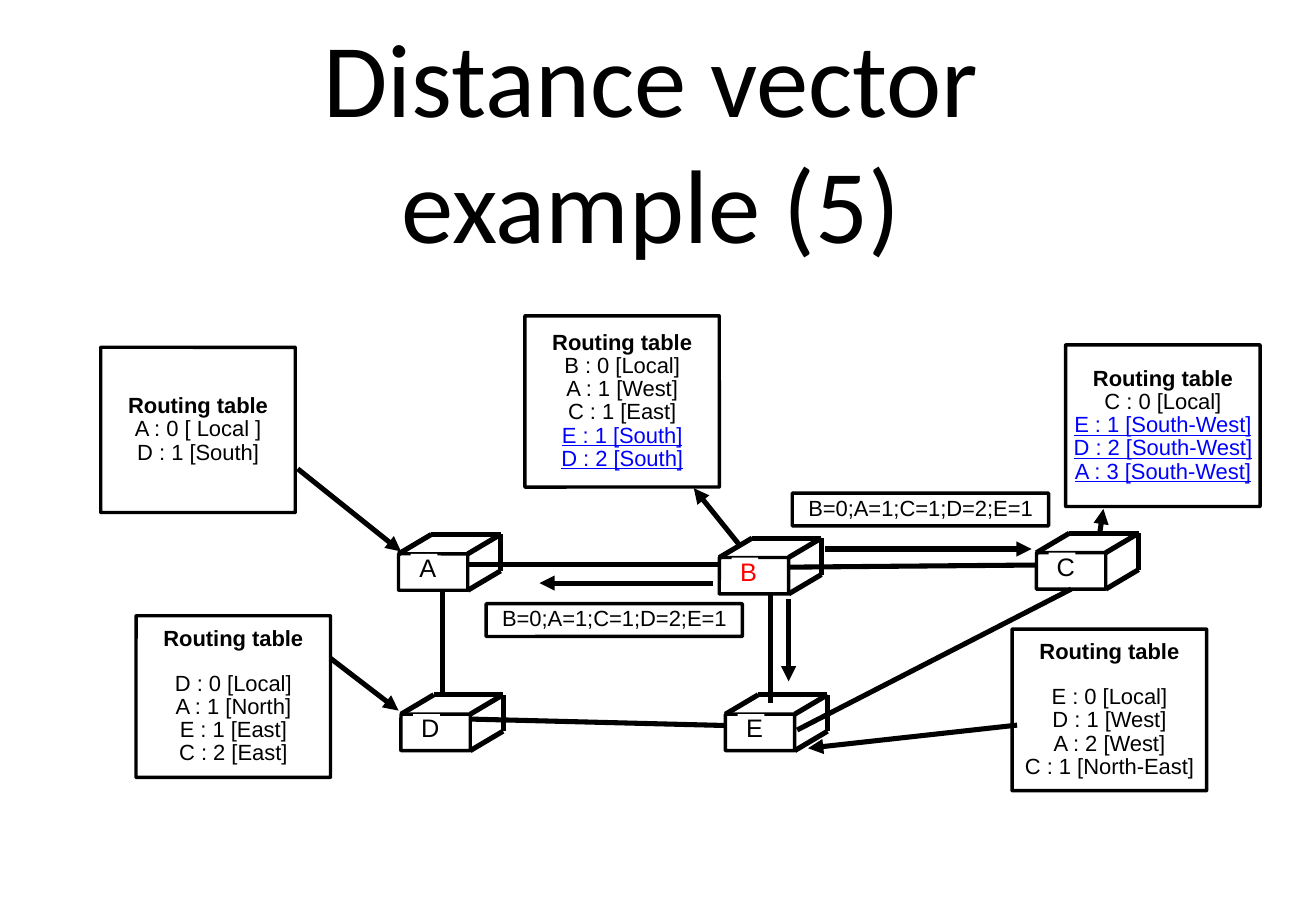
from dataclasses import dataclass

from lxml import etree
from pptx import Presentation
from pptx.dml.color import RGBColor
from pptx.enum.shapes import MSO_CONNECTOR, MSO_SHAPE
from pptx.enum.text import MSO_ANCHOR, PP_ALIGN
from pptx.oxml.ns import qn
from pptx.util import Inches, Pt

STRAIGHT = MSO_CONNECTOR.STRAIGHT
RECTANGLE = MSO_SHAPE.RECTANGLE
ROUNDED = MSO_SHAPE.ROUNDED_RECTANGLE
CENTER = PP_ALIGN.CENTER
MIDDLE = MSO_ANCHOR.MIDDLE
BOTTOM_SIDE = 2


@dataclass(frozen=True)
class Theme:
    """Colours, fonts, type sizes and line weights."""

    ink: RGBColor = RGBColor(0, 0, 0)
    paper: RGBColor = RGBColor(255, 255, 255)
    new_route: RGBColor = RGBColor(0, 0, 255)
    sender: RGBColor = RGBColor(255, 0, 0)
    title_font: str = "Calibri"
    body_font: str = "Arial"
    title_size: int = 62
    router_size: int = 15
    body_size: int = 13
    border: int = 2
    link: int = 3


THEME = Theme()
FACE_WIDTH, FACE_HEIGHT = 0.57, 0.3
DEPTH_X, DEPTH_Y = 0.27, -0.16
TABLE_WIDTH = 1.6
VECTOR = "B=0;A=1;C=1;D=2;E=1"

ROUTERS = {
    "A": (3.28, 4.56),
    "B": (5.92, 4.59),
    "C": (8.53, 4.55),
    "D": (3.3, 5.88),
    "E": (5.97, 5.88),
}
LINKS = [
    ((3.64, 4.85), (3.64, 5.72)),
    ((3.86, 5.92), (6.25, 5.98)),
    ((3.81, 4.65), (6.23, 4.65)),
    ((6.34, 4.83), (6.34, 5.79)),
    ((6.45, 4.67), (8.72, 4.65)),
]
TABLES = [
    (0.83, 2.86, 1.36, 0, ["A : 0 [ Local ]", "D : 1 [South]"], []),
    (4.32, 2.6, 1.41, 0, ["B : 0 [Local]", "A : 1 [West]", "C : 1 [East]"],
     ["E : 1 [South]", "D : 2 [South]"]),
    (8.77, 2.84, 1.33, 0, ["C : 0 [Local]"],
     ["E : 1 [South-West]", "D : 2 [South-West]", "A : 3 [South-West]"]),
    (8.33, 5.18, 1.33, 13,
     ["E : 0 [Local]", "D : 1 [West]", "A : 2 [West]", "C : 1 [North-East]"], []),
    (1.12, 5.07, 1.33, 13,
     ["D : 0 [Local]", "A : 1 [North]", "E : 1 [East]", "C : 2 [East]"], []),
]
ARROWS = [
    ((2.45, 3.86), (3.3, 4.54)),
    ((6.08, 4.48), (5.71, 4.02)),
    ((9.05, 4.39), (9.08, 4.19)),
    ((2.72, 5.42), (3.28, 5.85)),
    ((8.37, 5.97), (6.65, 6.16)),
    ((5.87, 4.8), (4.44, 4.8)),
    ((6.49, 4.93), (6.49, 5.61)),
    ((6.79, 4.52), (8.49, 4.52)),
]
MESSAGES = [(4, 4.97), (6.52, 4.06)]


def write(paragraph, text, size=THEME.body_size, font=THEME.body_font,
          color=THEME.ink, bold=False, underline=False, spacing=0.88, after=0):
    """Fill a paragraph with centred, formatted text."""
    paragraph.text = text
    paragraph.alignment = CENTER
    paragraph.line_spacing = spacing
    paragraph.space_after = Pt(after)
    for run in paragraph.runs:
        run.font.size = Pt(size)
        run.font.name = font
        run.font.color.rgb = color
        run.font.bold = bold
        run.font.underline = underline


class DiagramSlide:
    """Draws routers, links and routing tables on one slide."""

    def __init__(self, slide, theme):
        """Keep the slide and its theme."""
        self.shapes = slide.shapes
        self.theme = theme

    def frame(self, shape, inset=0, wrap=True):
        """Prepare a text frame and return it."""
        frame = shape.text_frame
        frame.margin_left = frame.margin_right = Inches(inset)
        frame.margin_top = frame.margin_bottom = Inches(inset)
        frame.vertical_anchor = MIDDLE
        frame.word_wrap = wrap
        return frame

    def title(self, text, left, top, width, height):
        """Add the slide title."""
        box = self.shapes.add_textbox(
            Inches(left), Inches(top), Inches(width), Inches(height))
        write(self.frame(box, 0.04).paragraphs[0], text, size=self.theme.title_size,
              font=self.theme.title_font, spacing=1)

    def box(self, left, top, width, height, filled=False, kind=ROUNDED):
        """Add a box with barely rounded corners, or a borderless rectangle."""
        shape = self.shapes.add_shape(
            kind, Inches(left), Inches(top), Inches(width), Inches(height))
        shape.shadow.inherit = False
        if filled:
            shape.fill.solid()
            shape.fill.fore_color.rgb = self.theme.paper
        else:
            shape.fill.background()
        if kind == ROUNDED:
            shape.adjustments[0] = 0.002
            shape.line.color.rgb = self.theme.ink
            shape.line.width = Pt(self.theme.border)
        else:
            shape.line.fill.background()
        return shape

    def line(self, start, end, arrow=False):
        """Add a straight line, with an arrowhead at its end if wanted."""
        connector = self.shapes.add_connector(
            STRAIGHT, *(Inches(value) for value in (*start, *end)))
        connector.line.color.rgb = self.theme.ink
        connector.line.width = Pt(self.theme.link)
        if arrow:
            etree.SubElement(connector.line._get_or_add_ln(),
                             qn("a:tailEnd"), type="triangle")
        etree.SubElement(connector._element.spPr, qn("a:effectLst"))
        return connector

    def router(self, name, left, top, color):
        """Add a router drawn as an open cuboid and return its front face."""
        face = self.box(left, top, FACE_WIDTH, FACE_HEIGHT, filled=True)
        right, bottom = left + FACE_WIDTH, top + FACE_HEIGHT
        corners = [(left, top), (right, top), (right, bottom)]
        back = [(x + DEPTH_X, y + DEPTH_Y) for x, y in corners]
        for start, end in [*zip(corners, back), *zip(back, back[1:])]:
            self.line(start, end)
        label = self.box(left + 0.1, top, 0.22, 0.26, filled=True, kind=RECTANGLE)
        frame = self.frame(label, wrap=False)
        frame.margin_left = Inches(0.06)
        write(frame.paragraphs[0], name, size=self.theme.router_size, color=color)
        return face

    def routing_table(self, left, top, height, gap, known, learned):
        """Add a routing table with its newly learned routes underlined."""
        frame = self.frame(self.box(left, top, TABLE_WIDTH, height))
        write(frame.paragraphs[0], "Routing table", bold=True, after=gap)
        for route in known:
            write(frame.add_paragraph(), route)
        for route in learned:
            write(frame.add_paragraph(), route, color=self.theme.new_route,
                  underline=True)

    def message(self, left, top):
        """Add a box with the distance vector that is sent."""
        frame = self.frame(self.box(left, top, 2.11, 0.27))
        write(frame.paragraphs[0], VECTOR)


def main():
    """Build and save the slide."""
    presentation = Presentation()
    presentation.slide_width = Inches(10.83)
    presentation.slide_height = Inches(7.5)
    slide = presentation.slides.add_slide(presentation.slide_layouts[6])
    diagram = DiagramSlide(slide, THEME)
    diagram.title("Distance vector\vexample (5)", 2.12, 0.48, 6.48, 1.32)
    for start, end in LINKS:
        diagram.line(start, end)
    faces = {}
    for name, (left, top) in ROUTERS.items():
        color = THEME.sender if name == "B" else THEME.ink
        faces[name] = diagram.router(name, left, top, color)
    diagonal = diagram.line((6.56, 6.01), (8.83, 4.84))
    diagonal.end_connect(faces["C"], BOTTOM_SIDE)
    for table in TABLES:
        diagram.routing_table(*table)
    for start, end in ARROWS:
        diagram.line(start, end, arrow=True)
    for left, top in MESSAGES:
        diagram.message(left, top)
    presentation.save("out.pptx")


if __name__ == "__main__":
    main()
